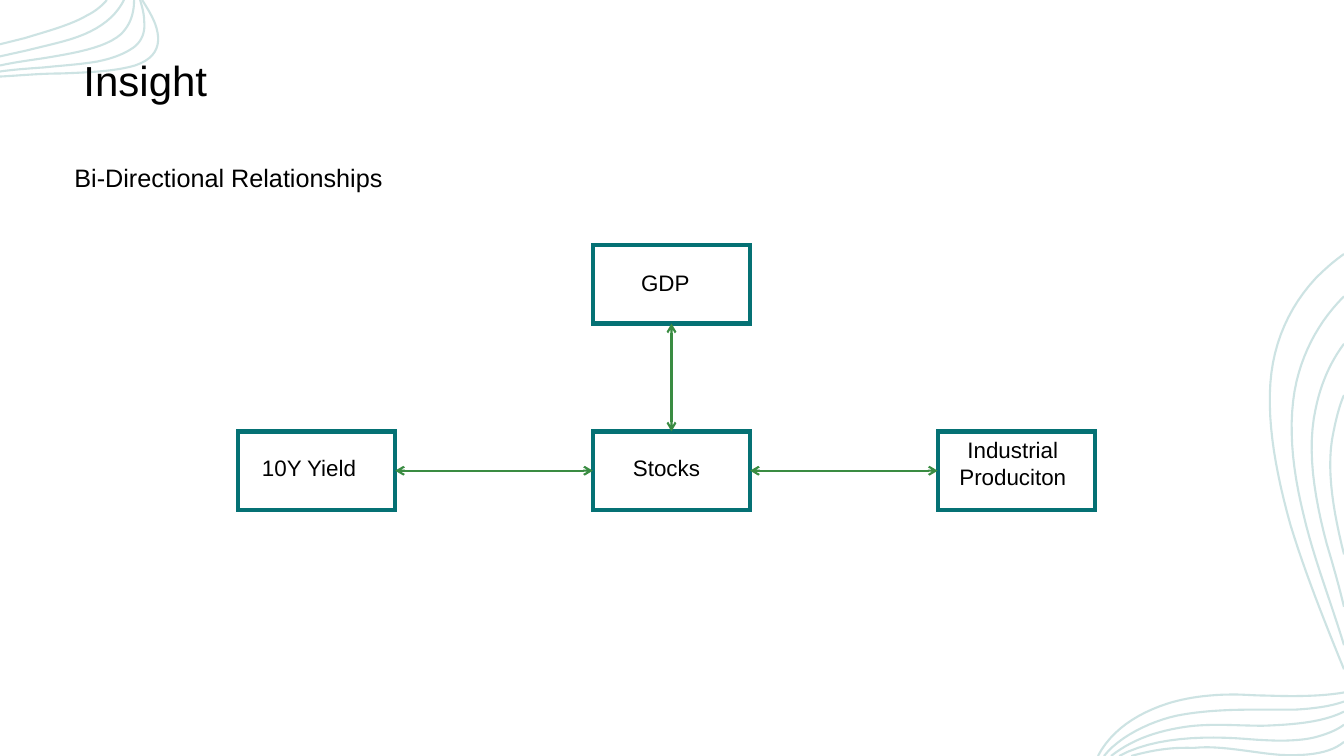
from dataclasses import dataclass

from lxml.etree import SubElement
from pptx import Presentation
from pptx.dml.color import RGBColor
from pptx.enum.shapes import MSO_CONNECTOR as Connector, MSO_SHAPE as Shape
from pptx.enum.text import MSO_ANCHOR as Anchor, PP_ALIGN as Align
from pptx.oxml.ns import qn
from pptx.util import Inches, Pt


@dataclass(frozen=True)
class Theme:
    font: str = "Arial"
    text: RGBColor = RGBColor(0x00, 0x00, 0x00)
    teal: RGBColor = RGBColor(0x05, 0x71, 0x74)
    green: RGBColor = RGBColor(0x3A, 0x8C, 0x42)
    wave: RGBColor = RGBColor(0xCD, 0xE3, 0xE3)
    title_size: int = 30
    subtitle_size: int = 18
    label_size: int = 16
    node_line: float = 3
    arrow_line: float = 1.5
    wave_line: float = 1.5


THEME = Theme()
SLIDE_W, SLIDE_H = 13.33, 7.5
NODE_W, NODE_H = 1.56, 0.78
TOP, BOTTOM, LEFT, RIGHT = 0, 2, 1, 3

# Each wave is a start point followed by the control points of Bézier curves
TOP_WAVES = [
    [(0, .44), (.08, .42), (.16, .4), (.24, .38), (.47, .31), (.7, .25), (.87, .15),
     (.95, .11), (1.02, .05), (1.06, 0)],
    [(1.41, 0), (1.46, .08), (1.51, .16), (1.54, .24), (1.6, .41), (1.58, .57), (1.34, .65),
     (1.14, .71), (.86, .72), (.59, .73), (.39, .73), (.2, .75), (0, .76)],
    [(1.39, 0), (1.41, .07), (1.43, .14), (1.43, .21), (1.44, .3), (1.42, .39), (1.34, .46),
     (1.25, .53), (1.12, .58), (.97, .61), (.8, .64), (.62, .65), (.43, .67),
     (.29, .68), (.14, .69), (0, .71)],
    [(1.33, 0), (1.33, .12), (1.3, .24), (1.2, .34), (1.04, .48), (.72, .53), (.42, .58),
     (.28, .6), (.14, .62), (0, .65)],
    [(1.23, 0), (1.13, .2), (.93, .33), (.63, .41), (.52, .44), (.39, .47), (.27, .5),
     (.18, .52), (.09, .54), (0, .56)],
]
RIGHT_WAVES = [
    [(13.33, 3.92), (13.28, 4.03), (13.24, 4.2), (13.21, 4.37),
     (13.16, 4.7), (13.23, 5.1), (13.33, 5.5)],
    [(13.33, 3.41), (13.19, 3.6), (13.1, 3.81), (13.05, 4.05), (12.96, 4.45), (13.03, 4.91),
     (13.16, 5.4), (13.22, 5.6), (13.28, 5.81), (13.33, 6.02)],
    [(13.33, 2.94), (13.1, 3.17), (12.94, 3.45), (12.86, 3.78), (12.77, 4.17), (12.81, 4.63),
     (12.93, 5.11), (13.03, 5.54), (13.2, 5.97), (13.33, 6.4)],
    [(13.33, 2.52), (13.23, 2.59), (13.14, 2.67), (13.05, 2.76), (12.79, 3.04), (12.63, 3.39),
     (12.6, 3.8), (12.57, 4.23), (12.66, 4.71), (12.8, 5.21),
     (12.94, 5.67), (13.13, 6.15), (13.33, 6.64)],
    [(13.33, 6.87), (13.1, 6.91), (12.82, 6.91), (12.54, 6.9), (12.44, 6.9), (12.34, 6.89),
     (12.24, 6.89), (11.99, 6.89), (11.77, 6.92), (11.58, 6.98),
     (11.27, 7.08), (11.02, 7.25), (10.89, 7.5)],
    [(13.33, 6.96), (13.19, 7.01), (13.02, 7.03), (12.85, 7.04), (12.71, 7.04), (12.58, 7.04),
     (12.44, 7.04), (12.2, 7.04), (11.92, 7.05), (11.67, 7.1),
     (11.4, 7.16), (11.1, 7.31), (10.95, 7.5)],
    [(13.33, 7.06), (13.11, 7.17), (12.81, 7.19), (12.52, 7.2), (12.25, 7.2), (11.97, 7.17),
     (11.7, 7.22), (11.41, 7.27), (11.2, 7.36), (11.02, 7.5)],
    [(13.33, 7.19), (13.25, 7.25), (13.14, 7.29), (13.02, 7.32), (12.83, 7.36), (12.59, 7.35),
     (12.35, 7.33), (11.95, 7.3), (11.45, 7.31), (11.1, 7.5)],
    [(13.33, 7.36), (13.2, 7.47), (12.99, 7.5), (12.71, 7.49), (12.43, 7.47), (12.1, 7.39),
     (11.84, 7.42), (11.6, 7.41), (11.4, 7.45), (11.22, 7.5)],
]


def sample_curve(points, steps=12):
    """Turn a chain of cubic Bézier curves into points along it."""
    sampled = [points[0]]
    for i in range(0, len(points) - 1, 3):
        curve = points[i:i + 4]
        for step in range(1, steps + 1):
            t = step / steps
            weights = ((1 - t) ** 3, 3 * t * (1 - t) ** 2, 3 * t * t * (1 - t), t ** 3)
            sampled.append(tuple(sum(w * p[axis] for w, p in zip(weights, curve))
                                 for axis in (0, 1)))
    return [(Inches(x), Inches(y)) for x, y in sampled]


def add_waves(slide, waves):
    curves = [sample_curve(wave) for wave in waves]
    builder = slide.shapes.build_freeform(*curves[0][0], scale=1.0)
    for index, curve in enumerate(curves):
        if index:
            builder.move_to(*curve[0])
        builder.add_line_segments(curve[1:], close=False)
    band = builder.convert_to_shape()
    band.shadow.inherit = False
    band.fill.background()
    band.line.color.rgb = THEME.wave
    band.line.width = Pt(THEME.wave_line)


def add_text(slide, box, lines, size, align=Align.LEFT, anchor=Anchor.TOP, spacing=None):
    frame = slide.shapes.add_textbox(*map(Inches, box)).text_frame
    frame.word_wrap = True
    frame.vertical_anchor = anchor
    frame.text = "\n".join(lines)
    for line in frame.paragraphs:
        line.alignment = align
        line.line_spacing = spacing
        line.font.name = THEME.font
        line.font.size = Pt(size)
        line.font.color.rgb = THEME.text


def add_node(slide, left, top):
    node = slide.shapes.add_shape(Shape.RECTANGLE, *map(Inches, (left, top, NODE_W, NODE_H)))
    node.shadow.inherit = False
    node.fill.background()
    node.line.color.rgb = THEME.teal
    node.line.width = Pt(THEME.node_line)
    SubElement(node.line._get_or_add_ln(), qn("a:miter"), lim="800000")
    return node


def add_two_way_arrow(slide, start, start_side, end, end_side):
    arrow = slide.shapes.add_connector(Connector.STRAIGHT, 0, 0, 0, 0)
    arrow.begin_connect(start, start_side)
    arrow.end_connect(end, end_side)
    arrow.line.color.rgb = THEME.green
    arrow.line.width = Pt(THEME.arrow_line)
    line = arrow.line._get_or_add_ln()
    for tag in ("a:headEnd", "a:tailEnd"):
        SubElement(line, qn(tag), type="arrow")
    SubElement(arrow._element.spPr, qn("a:effectLst"))


def add_relationships(slide, left, top):
    """Draw the diagram with its top left corner at the given point."""
    center, right, row = left + 3.52, left + 6.94, top + 1.85
    stocks = add_node(slide, center, row)
    gdp = add_node(slide, center, top)
    industry = add_node(slide, right, row)
    ten_year = add_node(slide, left, row)

    # Labels
    size = THEME.label_size
    add_text(slide, (center + 0.3, row + 0.18, 1.13, 0.4), ["Stocks"], size)
    add_text(slide, (center + 0.38, top + 0.19, 0.87, 0.4), ["GDP"], size)
    add_text(slide, (left + 0.14, row + 0.18, 1.32, 0.4), ["10Y Yield"], size)
    add_text(slide, (right, row, 1.49, 1.08), ["Industrial", "Produciton"], size, Align.CENTER)

    # Links
    add_two_way_arrow(slide, ten_year, RIGHT, stocks, LEFT)
    add_two_way_arrow(slide, gdp, BOTTOM, stocks, TOP)
    add_two_way_arrow(slide, stocks, RIGHT, industry, LEFT)


def main():
    deck = Presentation()
    deck.slide_width, deck.slide_height = Inches(SLIDE_W), Inches(SLIDE_H)
    slide = deck.slides.add_slide(deck.slide_layouts[6])

    # Background waves
    add_waves(slide, TOP_WAVES)
    add_waves(slide, RIGHT_WAVES)

    # Title, diagram and subtitle
    add_text(slide, (0.73, 0.47, 11.87, 0.71), ["Insight"], THEME.title_size,
             anchor=Anchor.MIDDLE, spacing=0.9)
    add_relationships(slide, 2.36, 2.43)
    add_text(slide, (0.64, 1.56, 4.44, 0.4), ["Bi-Directional Relationships"],
             THEME.subtitle_size)
    deck.save("out.pptx")


if __name__ == "__main__":
    main()
